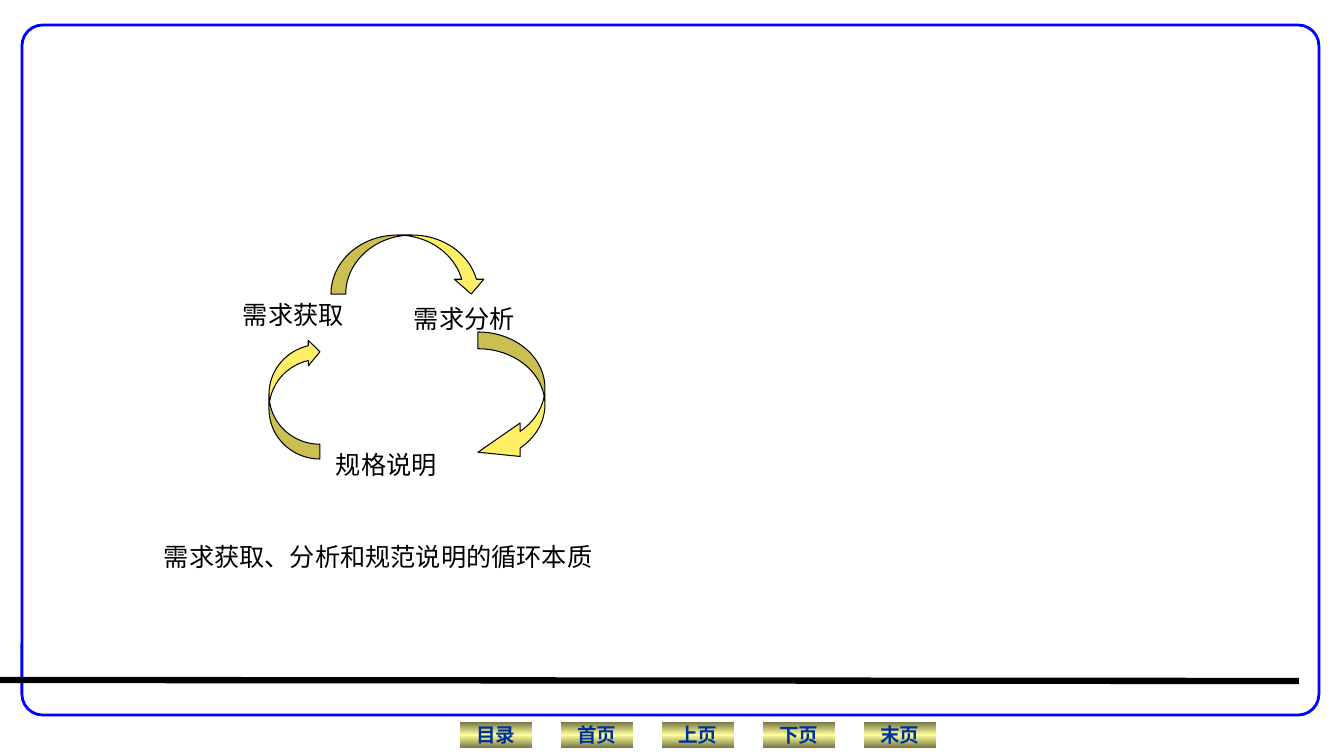
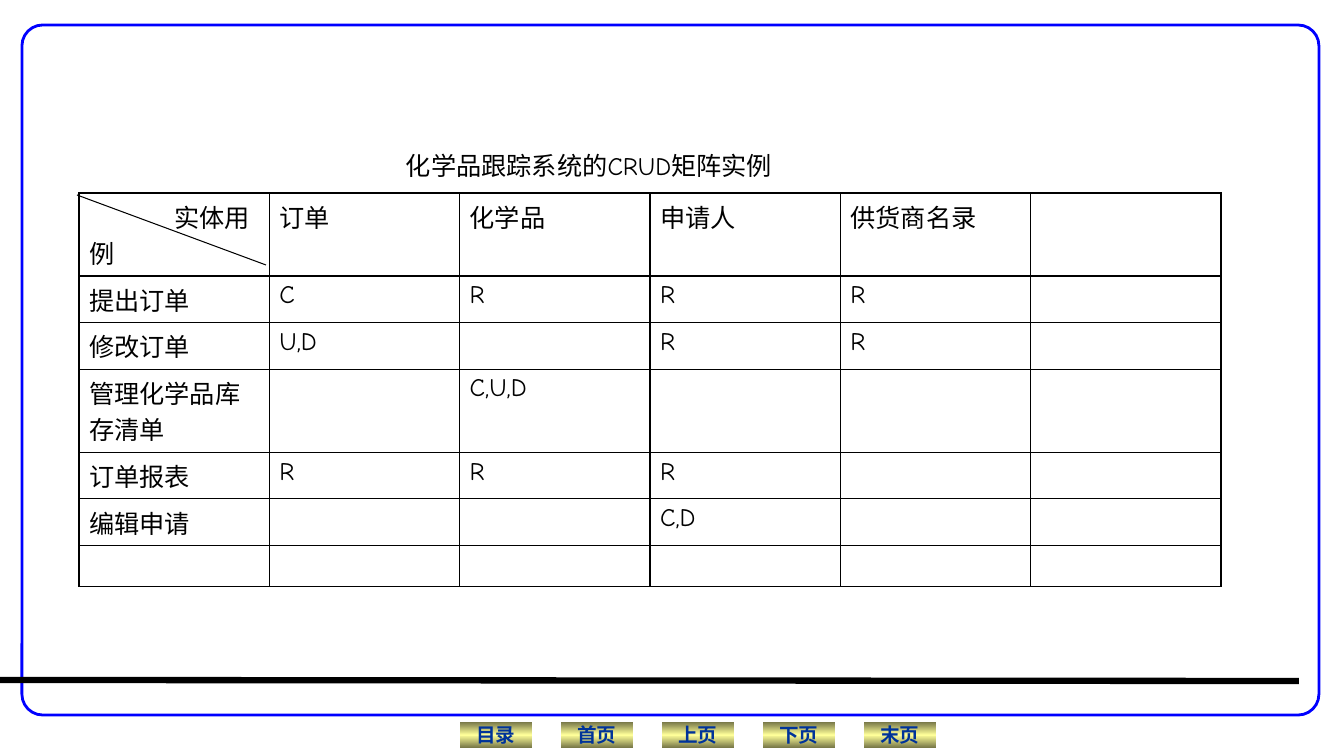
"""Build two slides: the requirements cycle and a CRUD matrix."""
from copy import deepcopy
from dataclasses import dataclass

from lxml import etree
from pptx import Presentation
from pptx.dml.color import RGBColor
from pptx.enum.shapes import MSO_CONNECTOR, MSO_SHAPE
from pptx.enum.text import MSO_ANCHOR, PP_ALIGN
from pptx.oxml.ns import qn
from pptx.shapes.autoshape import Shape
from pptx.shapes.connector import Connector
from pptx.slide import Slide
from pptx.table import _Cell
from pptx.text.text import TextFrame
from pptx.util import Emu, Pt

BUTTON = MSO_SHAPE.ACTION_BUTTON_CUSTOM
ROUND = MSO_SHAPE.ROUNDED_RECTANGLE
DOWN = MSO_SHAPE.CURVED_DOWN_ARROW
LEFT = MSO_SHAPE.CURVED_LEFT_ARROW
LINE = MSO_CONNECTOR.STRAIGHT
CENTER = PP_ALIGN.CENTER
MIDDLE = MSO_ANCHOR.MIDDLE

BLACK = RGBColor(0, 0, 0)
WHITE = RGBColor(255, 255, 255)
BLUE = RGBColor(0, 0, 255)
NAVY = RGBColor(0, 51, 153)
OLIVE = RGBColor(118, 118, 71)
CREAM = RGBColor(255, 255, 153)
YELLOW = RGBColor(255, 239, 102)

BODY = "Comic Neue"
SERIF = "Times New Roman"
BLANK = 6
STOPS = ((0, OLIVE), (0.5, CREAM), (1, OLIVE))
BUTTONS = ("目录", "首页", "上页", "下页", "末页")
ROWS = (
    ("实体用例", "订单", "化学品", "申请人", "供货商名录", ""),
    ("提出订单", "C", "R", "R", "R", ""),
    ("修改订单", "U,D", "", "R", "R", ""),
    ("管理化学品库存清单", "", "C,U,D", "", "", ""),
    ("订单报表", "R", "R", "R", "", ""),
    ("编辑申请", "", "", "C,D", "", ""),
    ("",) * 6,
)


@dataclass(frozen=True)
class Box:
    """Place and size in px."""
    x: int
    y: int
    w: int
    h: int


@dataclass(frozen=True)
class Arrow:
    """A curved arrow of the cycle."""
    kind: MSO_SHAPE
    box: Box
    adjust: tuple[float, ...] = ()
    turn: int = 0


@dataclass(frozen=True)
class Label:
    """A line of body text."""
    text: str
    box: Box


ARROWS = (
    Arrow(DOWN, Box(331, 235, 155, 59)),
    Arrow(LEFT, Box(478, 332, 67, 137), (0.25, 0.5, 0.63)),
    Arrow(LEFT, Box(269, 339, 51, 120), (0.29, 0.5, 0.23), 180),
)
LABELS = (
    Label("需求获取", Box(233, 294, 176, 40)),
    Label("需求分析", Box(404, 298, 176, 40)),
    Label("规格说明", Box(326, 444, 176, 40)),
    Label("需求获取、分析和规范说明的循环本质", Box(154, 536, 508, 40)),
)
HEADING = Label("化学品跟踪系统的CRUD矩阵实例", Box(396, 145, 453, 40))
GRID = Box(79, 193, 1142, 321)


def px(count: int) -> Emu:
    """Turn px into EMU."""
    return Emu(count * 9144000 // 1008)


def place(box: Box) -> tuple[Emu, Emu, Emu, Emu]:
    """Turn a box into EMU lengths."""
    return px(box.x), px(box.y), px(box.w), px(box.h)


def write(frame: TextFrame, text: str, font: str = BODY, size: int = 18,
          color: RGBColor = BLACK, bold: bool = False) -> None:
    """Set the text of a frame and format its runs."""
    frame.text = text
    for run in frame.paragraphs[0].runs:
        run.font.name = font
        run.font.size = Pt(size)
        run.font.bold = bold
        run.font.color.rgb = color


def add_form(slide: Slide, kind: MSO_SHAPE, box: Box) -> Shape:
    """Add a preset shape without shadow."""
    form = slide.shapes.add_shape(kind, *place(box))
    form.shadow.inherit = False
    return form


def paint(form: Shape, fill: RGBColor, line: RGBColor, width: float) -> None:
    """Set the fill and outline of a shape."""
    form.fill.solid()
    form.fill.fore_color.rgb = fill
    form.line.color.rgb = line
    form.line.width = Pt(width)


def add_line(slide: Slide, start: tuple[int, int], end: tuple[int, int],
             width: float) -> Connector:
    """Add a straight black line."""
    line = slide.shapes.add_connector(LINE, *map(px, start + end))
    line.line.color.rgb = BLACK
    line.line.width = Pt(width)
    etree.SubElement(line.element.spPr, qn("a:effectLst"))
    return line


def add_label(slide: Slide, label: Label) -> None:
    """Add a text box."""
    frame = slide.shapes.add_textbox(*place(label.box)).text_frame
    frame.word_wrap = True
    write(frame, label.text)


def add_button(slide: Slide, text: str, left: int) -> Shape:
    """Add a footer button with a metal gradient."""
    form = add_form(slide, BUTTON, Box(left, 722, 72, 26))
    form.line.fill.background()
    form.fill.gradient()
    form.fill.gradient_angle = 90
    stops = form.element.xpath(".//a:gsLst")[0]
    stops.append(deepcopy(stops[0]))
    for stop, (spot, color) in zip(form.fill.gradient_stops, STOPS):
        stop.position = spot
        stop.color.rgb = color
    frame = form.text_frame
    frame.word_wrap = False
    frame.vertical_anchor = MIDDLE
    write(frame, text, SERIF, 14, NAVY, True)
    frame.paragraphs[0].alignment = CENTER
    return form


def add_frame(slide: Slide) -> None:
    """Draw the shared frame and buttons and move them to the master."""
    parts = [add_button(slide, text, 460 + 101 * index)
             for index, text in enumerate(BUTTONS)]
    border = add_form(slide, ROUND, Box(22, 25, 1297, 690))
    border.adjustments[0] = 0.03
    paint(border, WHITE, BLUE, 2)
    rule = add_line(slide, (0, 680), (1299, 681), 4.5)
    master = slide.slide_layout.slide_master
    for index, part in enumerate([*parts, border, rule], 100):
        part.element.xpath(".//p:cNvPr")[0].set("id", str(index))
        master.shapes.element.append(part.element)


def add_arrow(slide: Slide, arrow: Arrow) -> None:
    """Add a curved arrow."""
    form = add_form(slide, arrow.kind, arrow.box)
    for index, value in enumerate(arrow.adjust):
        form.adjustments[index] = value
    form.rotation = arrow.turn
    paint(form, YELLOW, BLACK, 0.75)


def edge(cell: _Cell) -> None:
    """Give a cell thin black borders and no fill."""
    props = cell._tc.get_or_add_tcPr()
    for side in ("lnL", "lnR", "lnT", "lnB"):
        line = etree.SubElement(props, qn(f"a:{side}"), w=str(Pt(1)))
        fill = etree.SubElement(line, qn("a:solidFill"))
        etree.SubElement(fill, qn("a:srgbClr"), val=str(BLACK))
    cell.fill.background()


def add_grid(slide: Slide) -> None:
    """Add the CRUD table."""
    holder = slide.shapes.add_table(len(ROWS), len(ROWS[0]), *place(GRID))
    table = holder.table
    table.first_row = table.horz_banding = False
    for index, texts in enumerate(ROWS):
        table.rows[index].height = px(41 if index else 75)
        for cell, text in zip(table.rows[index].cells, texts):
            write(cell.text_frame, text)
            edge(cell)
    first = holder.element.xpath(".//a:p")[0]
    first.get_or_add_pPr().set("indent", str(px(85)))


def main() -> None:
    """Build and save the deck."""
    deck = Presentation()
    deck.slide_width, deck.slide_height = px(1344), px(756)
    cycle, matrix = (deck.slides.add_slide(deck.slide_layouts[BLANK])
                     for _ in range(2))
    add_frame(cycle)
    for arrow in ARROWS:
        add_arrow(cycle, arrow)
    for label in LABELS:
        add_label(cycle, label)
    add_grid(matrix)
    add_line(matrix, (77, 195), (266, 265), 0.75)
    add_label(matrix, HEADING)
    deck.save("out.pptx")


if __name__ == "__main__":
    main()
